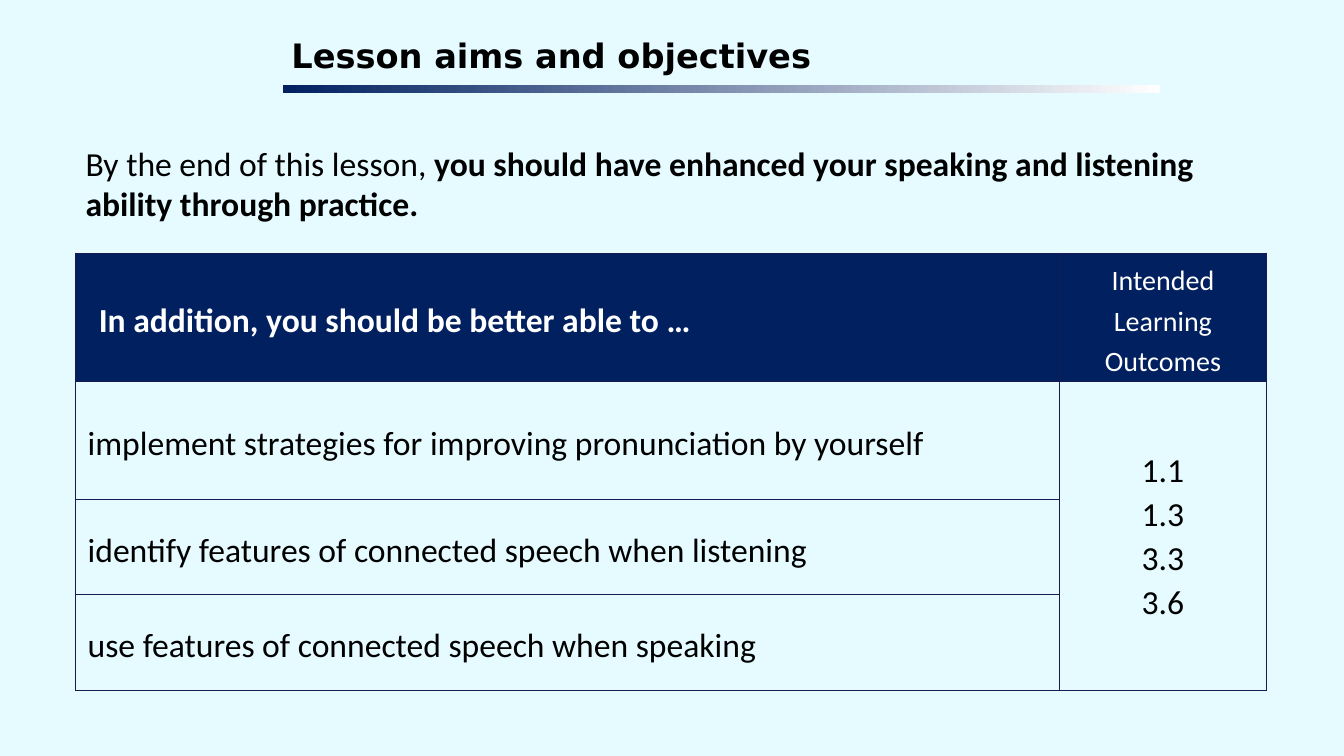
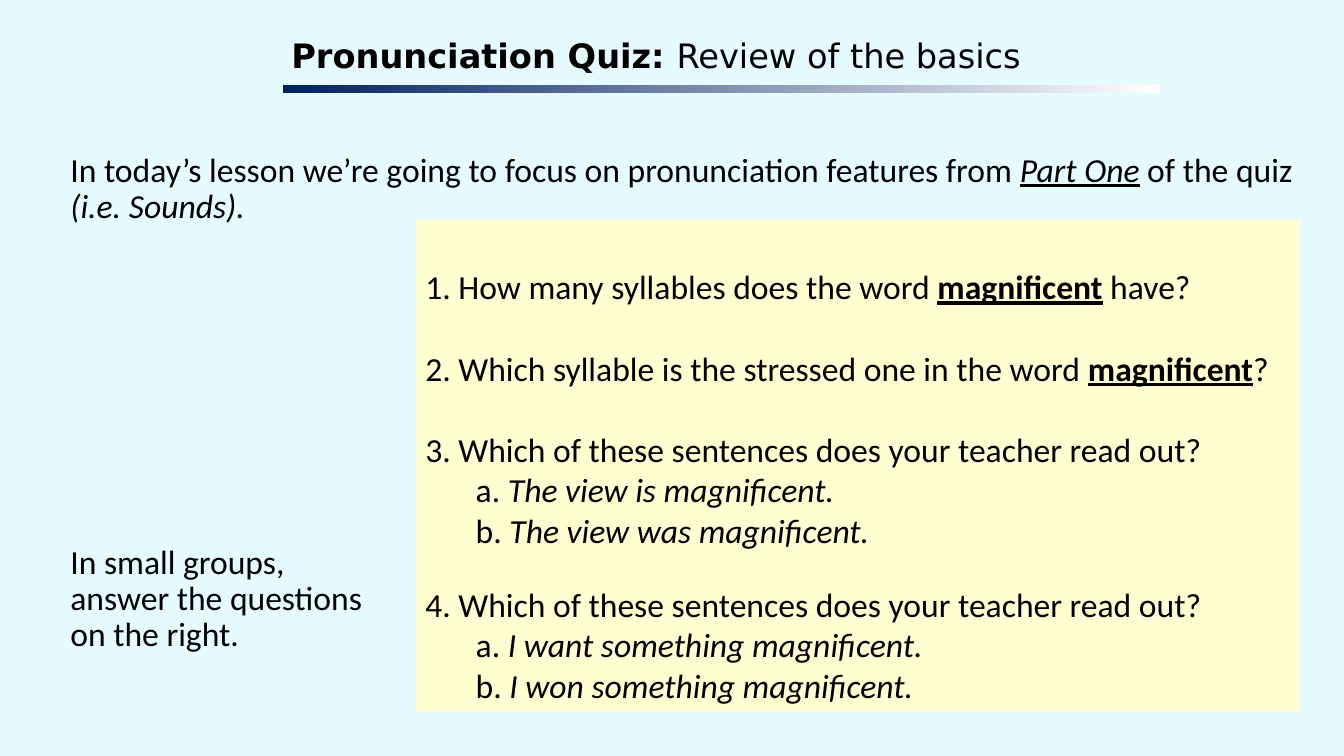
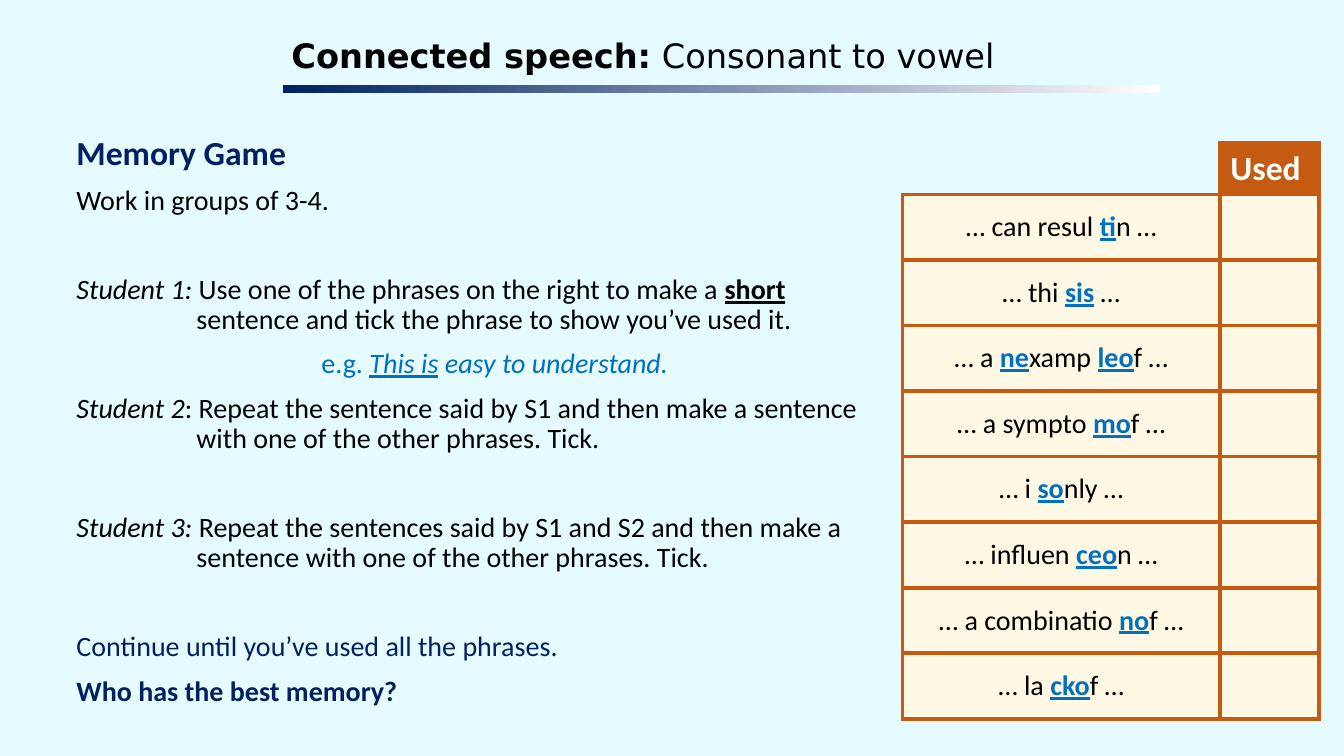
from dataclasses import dataclass

from lxml.etree import SubElement
from pptx import Presentation
from pptx.dml.color import RGBColor
from pptx.enum.shapes import MSO_SHAPE as Preset
from pptx.enum.text import MSO_ANCHOR as Anchor, PP_ALIGN as Align
from pptx.oxml.ns import qn
from pptx.util import Inches, Pt

COLORS = {
    "sky": "E5FBFF", "navy": "002060", "ink": "191A4F", "black": "000000",
    "white": "FFFFFF", "yellow": "FFFFD1", "blue": "0070C0",
    "rust": "C55A11", "cream": "FFF8E5",
}
BODY_FONT = "Calibri"
TITLE_FONT = "DejaVu Sans"
BLOCK_GAP = 42


@dataclass
class Span:
    text: str
    marks: str = ""
    color: str = ""


@dataclass
class Line:
    spans: list
    size: int = 24
    color: str = "black"
    left: float = 0
    first: float = 0
    before: float = 0
    after: float = 0
    spacing: float = 1
    align: Align = Align.LEFT
    font: str = BODY_FONT


def cell_line(text, marks="", **options):
    return Line([Span(text, marks)], spacing=1.19, after=6, **options)


def question(*spans, before=29.3):
    return Line(list(spans), before=before)


def choice(letter, sentence):
    return Line([Span(letter + ". "), Span(sentence, "i")], left=0.5)


def game_line(*spans, before=10, **options):
    return Line(list(spans), **{"size": 20, "spacing": 0.9, "before": before, **options})


def student_line(*spans, before=BLOCK_GAP):
    return game_line(*spans, before=before, left=1.19, first=-1.19)


AIMS_TITLE = [Span("Lesson aims and objectives", "b")]
AIMS_INTRO = [Line([
    Span("By the end of this lesson, "),
    Span("you should have enhanced your speaking and listening ability through practice.", "b"),
])]
AIMS_HEADER = [
    cell_line("In addition, you should be better able to …", "b", color="white", left=0.19),
    cell_line("Intended Learning Outcomes", size=20, color="white", align=Align.CENTER),
]
AIMS = [
    "implement strategies for improving pronunciation by yourself",
    "identify features of connected speech when listening",
    "use features of connected speech when speaking",
]
OUTCOMES = ["1.1", "1.3", "3.3", "3.6"]

QUIZ_TITLE = [Span("Pronunciation Quiz: ", "b"), Span("Review of the basics")]
QUIZ_INTRO = [Line([
    Span("In today’s lesson we’re going to focus on pronunciation features from "),
    Span("Part One", "iu"), Span(" of the quiz "), Span("(i.e. Sounds).", "i"),
], spacing=0.9)]
QUIZ_TASK = [Line([Span("In small groups, answer the questions on the right.")], spacing=0.9)]
QUIZ = [
    question(Span("1. How many syllables does the word "), Span("magnificent", "bu"),
             Span(" have?"), before=0),
    question(Span("2. Which syllable is the stressed one in the word "),
             Span("magnificent", "bu"), Span("?")),
    question(Span("3. Which of these sentences does your teacher read out?")),
    choice("a", "The view is magnificent."),
    choice("b", "The view was magnificent."),
    question(Span("4. Which of these sentences does your teacher read out?"), before=24.4),
    choice("a", "I want something magnificent."),
    choice("b", "I won something magnificent."),
]

GAME_TITLE = [Span("Connected speech:", "b"), Span(" Consonant to vowel")]
GAME = [
    game_line(Span("Memory Game", "b"), size=24, color="navy", before=0),
    game_line(Span("Work in groups of 3-4.")),
    student_line(Span("Student 1:", "i"),
                 Span(" Use one of the phrases on the right to make a "),
                 Span("short ", "bu"),
                 Span("sentence and tick the phrase to show you’ve used it.")),
    game_line(Span("e.g. "), Span("This is", "iu"), Span(" easy to understand.", "i"),
              color="blue", left=2.43),
    student_line(Span("Student 2", "i"),
                 Span(": Repeat the sentence said by S1 and then make a sentence "
                      "with one of the other phrases. Tick."), before=10),
    student_line(Span("Student 3: ", "i"),
                 Span("Repeat the sentences said by S1 and S2 and then make a sentence "
                      "with one of the other phrases. Tick.")),
    game_line(Span("Continue until you’ve used all the phrases."),
              color="navy", before=BLOCK_GAP),
    game_line(Span("Who has the best memory?", "b"), color="navy"),
]
PHRASES = [
    "can resul |ti|n", "thi |sis|", "a |ne|xamp |leo|f", "a sympto |mo|f",
    "i |so|nly", "influen |ceo|n", "a combinatio |no|f", "la |cko|f",
]


def rgb(name):
    return RGBColor.from_string(COLORS[name])


def write(frame, lines, inset=None):
    frame.word_wrap = True
    if inset is not None:
        frame.margin_left = frame.margin_right = Inches(inset)
        frame.margin_top = frame.margin_bottom = Inches(inset)
    for index, line in enumerate(lines):
        para = frame.add_paragraph() if index else frame.paragraphs[0]
        para.alignment = line.align
        para.line_spacing = line.spacing
        para.space_before, para.space_after = Pt(line.before), Pt(line.after)
        properties = para._p.get_or_add_pPr()
        properties.set("marL", str(Inches(line.left)))
        properties.set("indent", str(Inches(line.first)))
        for span in line.spans:
            run = para.add_run()
            run.text = span.text
            font = run.font
            font.name, font.size = line.font, Pt(line.size)
            font.color.rgb = rgb(span.color or line.color)
            font.bold = "b" in span.marks
            font.italic = "i" in span.marks
            font.underline = "u" in span.marks


def add_text(page, place, lines, inset=None):
    box = page.shapes.add_textbox(*map(Inches, place))
    write(box.text_frame, lines, inset)


def add_rectangle(page, place):
    shape = page.shapes.add_shape(Preset.RECTANGLE, *map(Inches, place))
    shape.shadow.inherit = False
    shape.line.fill.background()
    return shape


def add_page(deck, title):
    page = deck.slides.add_slide(deck.slide_layouts[6])
    add_text(page, (2.85, 0.31, 8.66, 0.53), [Line(title, font=TITLE_FONT)], 0.04)
    rule = add_rectangle(page, (2.81, 0.84, 8.7, 0.08))
    rule.fill.gradient()
    rule.fill.gradient_angle = 180
    for stop, color in zip(rule.fill.gradient_stops, ("white", "navy")):
        stop.color.rgb = rgb(color)
    return page


def add_table(page, left, top, widths, heights):
    frame = page.shapes.add_table(
        len(heights), len(widths), Inches(left), Inches(top),
        Inches(sum(widths)), Inches(sum(heights)))
    table = frame.table
    table.first_row = table.horz_banding = False
    for column, width in zip(table.columns, widths):
        column.width = Inches(width)
    for row, height in zip(table.rows, heights):
        row.height = Inches(height)
    return table


def style_cell(cell, fill, border, width, sides="LRTB"):
    cell.vertical_anchor = Anchor.MIDDLE
    if fill:
        cell.fill.solid()
        cell.fill.fore_color.rgb = rgb(fill)
    else:
        cell.fill.background()
    properties = cell._tc.get_or_add_tcPr()
    for index, side in enumerate("LRTB"):
        edge = SubElement(properties, qn("a:ln" + side), w=str(Pt(width)))
        if side in sides:
            paint = SubElement(edge, qn("a:solidFill"))
            SubElement(paint, qn("a:srgbClr"), val=COLORS[border])
        else:
            SubElement(edge, qn("a:noFill"))
        properties.insert(index, edge)


def write_cell(cell, lines, inset):
    cell.margin_left = cell.margin_right = Inches(inset)
    cell.margin_top = cell.margin_bottom = Inches(inset)
    write(cell.text_frame, lines)


def build_aims(deck):
    page = add_page(deck, AIMS_TITLE)
    add_text(page, (0.75, 1.37, 11.81, 0.91), AIMS_INTRO)
    table = add_table(page, 0.75, 2.51, (9.76, 2.05), (1.15, 1.17, 0.95, 0.95))
    for row in range(len(AIMS) + 1):
        for column in range(2):
            style_cell(table.cell(row, column), None if row else "navy", "ink", 0.5)
    for column, line in enumerate(AIMS_HEADER):
        write_cell(table.cell(0, column), [line], 0.04)
    for row, aim in enumerate(AIMS, 1):
        write_cell(table.cell(row, 0), [cell_line(aim, left=0.08)], 0.04)
    outcomes = table.cell(1, 1)
    outcomes.merge(table.cell(len(AIMS), 1))
    write_cell(outcomes, [Line([Span(code)], spacing=1.07, align=Align.CENTER)
                          for code in OUTCOMES], 0.04)


def build_quiz(deck):
    page = add_page(deck, QUIZ_TITLE)
    add_text(page, (0.6, 1.47, 12.44, 0.9), QUIZ_INTRO)
    panel = add_rectangle(page, (4.12, 2.18, 8.77, 4.88))
    panel.fill.solid()
    panel.fill.fore_color.rgb = rgb("yellow")
    frame = panel.text_frame
    frame.vertical_anchor = Anchor.TOP
    frame.margin_top = Inches(0.46)
    write(frame, QUIZ)
    add_text(page, (0.6, 5.36, 3.34, 1.65), QUIZ_TASK)


def build_game(deck):
    page = add_page(deck, GAME_TITLE)
    add_text(page, (0.66, 1.3, 8.29, 5.84), GAME)
    table = add_table(page, 8.95, 1.42, (3.15, 0.98), [0.51] + [0.65] * len(PHRASES))
    style_cell(table.cell(0, 0), None, "rust", 3, "RB")
    used = table.cell(0, 1)
    style_cell(used, "rust", "rust", 3)
    write(used.text_frame, [Line([Span("Used ", "b")], color="white", align=Align.CENTER)])
    for row, phrase in enumerate(PHRASES, 1):
        for column in range(2):
            style_cell(table.cell(row, column), "cream", "rust", 3)
        pieces = f"… {phrase} …".split("|")
        spans = [Span(piece, "bu", "blue") if index % 2 else Span(piece)
                 for index, piece in enumerate(pieces)]
        write(table.cell(row, 0).text_frame, [Line(spans, size=20, align=Align.CENTER)])


def main():
    deck = Presentation()
    deck.slide_width, deck.slide_height = Inches(13.33), Inches(7.5)
    backdrop = deck.slide_master.background.fill
    backdrop.solid()
    backdrop.fore_color.rgb = rgb("sky")
    for build in (build_aims, build_quiz, build_game):
        build(deck)
    deck.save("out.pptx")


if __name__ == "__main__":
    main()
